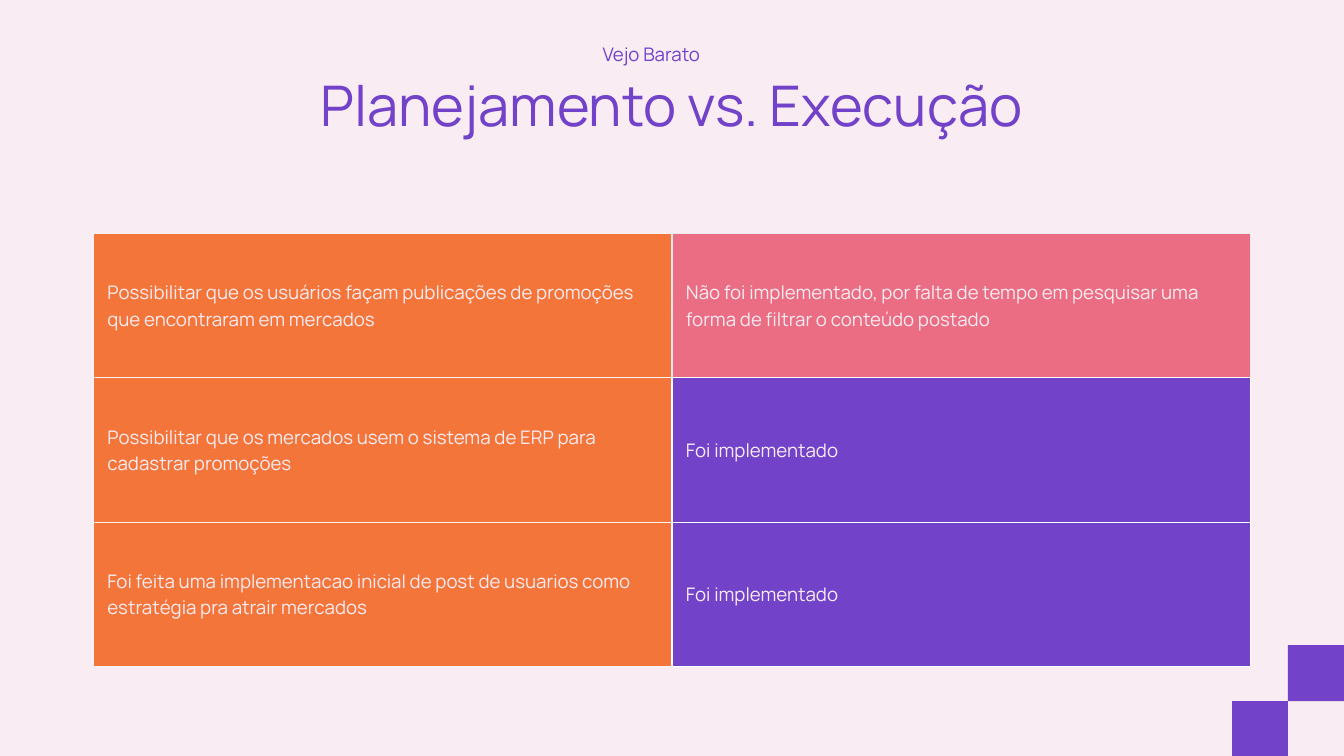
from dataclasses import dataclass

from lxml import etree
from pptx import Presentation
from pptx.dml.color import RGBColor
from pptx.enum.shapes import MSO_SHAPE
from pptx.enum.text import MSO_ANCHOR, PP_ALIGN
from pptx.oxml.ns import qn
from pptx.util import Pt

RECTANGLE = MSO_SHAPE.RECTANGLE
TOP, MIDDLE = MSO_ANCHOR.TOP, MSO_ANCHOR.MIDDLE
LEFT, CENTER = PP_ALIGN.LEFT, PP_ALIGN.CENTER
TITLE_ONLY = 5
WIDTH, HEIGHT = 1440, 810


@dataclass(frozen=True)
class Theme:
    background: str = "F9ECF3"
    purple: str = "7242C9"
    orange: str = "F4753A"
    pink: str = "EA6D83"
    white: str = "FFFFFF"
    light_gray: str = "F4F4F4"
    gray: str = "E9E9E9"
    font: str = "Manrope"
    title_size: float = 60
    body_size: float = 20
    title_spacing: float = 72
    body_spacing: float = 28
    border_width: float = 1.5
    cell_margin: float = 15


@dataclass(frozen=True)
class Box:
    left: float
    top: float
    width: float
    height: float

    def lengths(self) -> tuple:
        return Pt(self.left), Pt(self.top), Pt(self.width), Pt(self.height)


@dataclass(frozen=True)
class Borders:
    left: str
    right: str
    top: str
    bottom: str


@dataclass(frozen=True)
class Entry:
    text: str
    fill: str
    borders: Borders


THEME = Theme()
PLAN_BORDERS = Borders(THEME.light_gray, THEME.white, THEME.light_gray, THEME.light_gray)
FIRST_PLAN_BORDERS = Borders(THEME.light_gray, THEME.gray, THEME.light_gray, THEME.light_gray)
PENDING_BORDERS = Borders(THEME.gray, THEME.gray, THEME.gray, THEME.white)
DONE_BORDERS = Borders(*[THEME.white] * 4)
DONE = Entry("Foi implementado", THEME.purple, DONE_BORDERS)

ROWS = [
    (Entry("Possibilitar que os usuários façam publicações de promoções que encontraram "
           "em mercados", THEME.orange, FIRST_PLAN_BORDERS),
     Entry("Não foi implementado, por falta de tempo em pesquisar uma forma de filtrar "
           "o conteúdo postado", THEME.pink, PENDING_BORDERS)),
    (Entry("Possibilitar que os mercados usem o sistema de ERP para cadastrar promoções",
           THEME.orange, PLAN_BORDERS), DONE),
    (Entry("Foi feita uma implementacao inicial de post de usuarios como estratégia pra "
           "atrair mercados", THEME.orange, PLAN_BORDERS), DONE),
]

SQUARES = [Box(1380, 691.2, 60, 60), Box(1320, 751.2, 60, HEIGHT - 751.2)]
TABLE_BOX = Box(100, 250, 1240, 464.4)
TITLE_BOX = Box(80.6, 75.6, 1278, 77)
PROJECT_BOX = Box(645.8, 41.8, 215.3, 28.8)


def write(text_frame, text: str, size: float, spacing: float, color: str,
          alignment=LEFT) -> None:
    text_frame.text = text
    text_frame.word_wrap = True
    paragraph = text_frame.paragraphs[0]
    paragraph.alignment = alignment
    paragraph.line_spacing = Pt(spacing)
    font = paragraph.runs[0].font
    font.name = THEME.font
    font.size = Pt(size)
    font.color.rgb = RGBColor.from_string(color)


def clear_margins(text_frame) -> None:
    text_frame.margin_left = text_frame.margin_right = 0
    text_frame.margin_top = text_frame.margin_bottom = 0
    text_frame.vertical_anchor = TOP


def add_square(slide, box: Box) -> None:
    shape = slide.shapes.add_shape(RECTANGLE, *box.lengths())
    shape.shadow.inherit = False
    shape.fill.solid()
    shape.fill.fore_color.rgb = RGBColor.from_string(THEME.purple)
    shape.line.fill.background()


def add_borders(cell, borders: Borders) -> None:
    """Must run before the cell is filled: lines precede the fill in the XML."""
    properties = cell._tc.get_or_add_tcPr()
    sides = {"a:lnL": borders.left, "a:lnR": borders.right,
             "a:lnT": borders.top, "a:lnB": borders.bottom}
    for tag, color in sides.items():
        line = etree.SubElement(properties, qn(tag), w=str(Pt(THEME.border_width)))
        fill = etree.SubElement(line, qn("a:solidFill"))
        etree.SubElement(fill, qn("a:srgbClr"), val=color)


def fill_cell(cell, entry: Entry) -> None:
    add_borders(cell, entry.borders)
    cell.fill.solid()
    cell.fill.fore_color.rgb = RGBColor.from_string(entry.fill)
    cell.vertical_anchor = MIDDLE
    cell.margin_left = cell.margin_right = Pt(THEME.cell_margin)
    cell.margin_top = cell.margin_bottom = Pt(THEME.cell_margin)
    write(cell.text_frame, entry.text, THEME.body_size, THEME.body_spacing, THEME.background)


def add_comparison(slide, box: Box, rows: list[tuple[Entry, ...]]) -> None:
    table = slide.shapes.add_table(len(rows), len(rows[0]), *box.lengths()).table
    table.first_row = False
    table.horz_banding = False
    for column in table.columns:
        column.width = Pt(box.width / len(rows[0]))
    for row, entries in zip(table.rows, rows):
        row.height = Pt(box.height / len(rows))
        for cell, entry in zip(row.cells, entries):
            fill_cell(cell, entry)


def add_headings(slide) -> None:
    title = slide.shapes.title
    title.left, title.top, title.width, title.height = TITLE_BOX.lengths()
    clear_margins(title.text_frame)
    write(title.text_frame, "Planejamento vs. Execução", THEME.title_size,
          THEME.title_spacing, THEME.purple, CENTER)

    project = slide.shapes.add_textbox(*PROJECT_BOX.lengths())
    clear_margins(project.text_frame)
    write(project.text_frame, "Vejo Barato", THEME.body_size, THEME.body_spacing, THEME.purple)


def main() -> None:
    presentation = Presentation()
    presentation.slide_width, presentation.slide_height = Pt(WIDTH), Pt(HEIGHT)
    slide = presentation.slides.add_slide(presentation.slide_layouts[TITLE_ONLY])
    slide.background.fill.solid()
    slide.background.fill.fore_color.rgb = RGBColor.from_string(THEME.background)

    for square in SQUARES:
        add_square(slide, square)
    add_comparison(slide, TABLE_BOX, ROWS)
    add_headings(slide)
    presentation.save("out.pptx")


if __name__ == "__main__":
    main()
